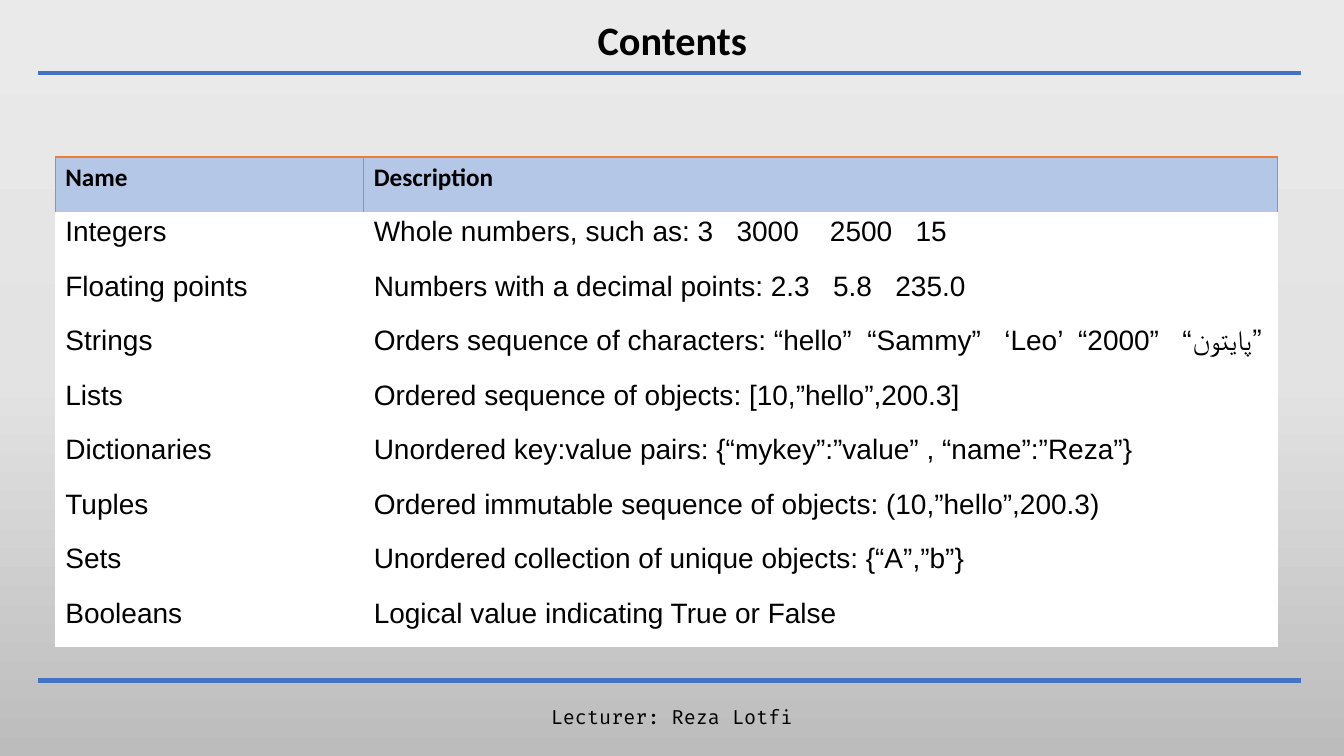
from copy import deepcopy
from lxml.etree import SubElement
from pptx import Presentation
from pptx.dml.color import RGBColor
from pptx.enum.shapes import MSO_CONNECTOR
from pptx.enum.text import MSO_ANCHOR, MSO_AUTO_SIZE, PP_ALIGN
from pptx.oxml import parse_xml
from pptx.oxml.ns import nsdecls, qn
from pptx.util import Pt

TITLE = "Contents"
LECTURER = "Lecturer: Reza Lotfi"
ROWS = [
    ("Name", "Description"),
    ("Integers", "Whole numbers, such as: 3   3000    2500   15"),
    ("Floating points", "Numbers with a decimal points: 2.3   5.8   235.0"),
    ("Strings", "Orders sequence of characters: “hello”  “Sammy”   ‘Leo’  “2000”   “پایتون”"),
    ("Lists", "Ordered sequence of objects: [10,”hello”,200.3]"),
    ("Dictionaries", "Unordered key:value pairs: {“mykey”:”value” , “name”:”Reza”}"),
    ("Tuples", "Ordered immutable sequence of objects: (10,”hello”,200.3)"),
    ("Sets", "Unordered collection of unique objects: {“A”,”b”}"),
    ("Booleans", "Logical value indicating True or False"),
]

THEME = {
    "backdrop": [(0, "EBEAEA"), (50, "E4E3E3"), (100, "BDBCBC")],
    "rule": "4472C4",
    "border": "ED7D31",
    "header_fill": "B4C7E7",
    "body_fill": "FFFFFF",
    "text": "000000",
    "title": {"name": "Calibri", "size": Pt(28.8), "bold": True},
    "header": {"name": "Calibri", "size": Pt(18), "bold": True},
    "body": {"name": "Arial", "size": Pt(20), "bold": False},
    "footer": {"name": "Fira Code", "size": Pt(14), "bold": False},
}
NO_STYLE = "{2D5ABB26-0587-4C30-8999-92F81FD0307C}"
RULE_X = (27.5, 929.5)
RULE_YS = (52, 486)
COL_WIDTHS = (220.3, 653)
ROW_HEIGHT = 38.9


def write(tf, text, style, **layout):
    for key, value in layout.items():
        setattr(tf, key, value)
    p = tf.paragraphs[0]
    r = p.add_run()
    r.text = text
    for key, value in THEME[style].items():
        setattr(r.font, key, value)
    r.font.color.rgb = RGBColor.from_string(THEME["text"])
    return p


def paint_background(s):
    fill = s.background.fill
    fill.gradient()
    fill.gradient_angle = 270
    stops = fill._fill._gradFill.find(qn("a:gsLst"))
    stops.append(deepcopy(stops[0]))
    for stop, element, (pos, color) in zip(fill.gradient_stops, stops, THEME["backdrop"]):
        stop.color.rgb = RGBColor.from_string(color)
        element.set("pos", str(pos * 1000))


def add_rule(s, y):
    x1, x2 = RULE_X
    rule = s.shapes.add_connector(MSO_CONNECTOR.STRAIGHT, Pt(x1), Pt(y), Pt(x2), Pt(y))
    rule.line.width = Pt(3)
    rule.line.color.rgb = RGBColor.from_string(THEME["rule"])
    SubElement(rule._element.spPr, qn("a:effectLst"))


def add_borders(cell):
    tcPr = cell._tc.get_or_add_tcPr()
    for i, side in enumerate("LRT"):
        tcPr.insert(i, parse_xml(
            f'<a:ln{side} {nsdecls("a")} w="{Pt(1)}"><a:solidFill>'
            f'<a:srgbClr val="{THEME["border"]}"/></a:solidFill></a:ln{side}>'))


def add_types_table(s):
    frame = s.shapes.add_table(len(ROWS), len(COL_WIDTHS), Pt(39.5), Pt(112.2),
                               Pt(sum(COL_WIDTHS)), Pt(ROW_HEIGHT * len(ROWS)))
    table = frame.table
    table.first_row = table.horz_banding = False
    table._tbl.tblPr.find(qn("a:tableStyleId")).text = NO_STYLE
    for col, width in zip(table.columns, COL_WIDTHS):
        col.width = Pt(width)
    for i, texts in enumerate(ROWS):
        table.rows[i].height = Pt(ROW_HEIGHT)
        style = "body" if i else "header"
        for j, text in enumerate(texts):
            cell = table.cell(i, j)
            cell.fill.solid()
            cell.fill.fore_color.rgb = RGBColor.from_string(THEME[style + "_fill"])
            write(cell.text_frame, text, style)
            if style == "header":
                add_borders(cell)


def place(shape, left, top, width, height):
    shape.left, shape.top, shape.width, shape.height = map(Pt, (left, top, width, height))


def main():
    prs = Presentation()
    prs.slide_width, prs.slide_height = Pt(960), Pt(540)
    s = prs.slides.add_slide(prs.slide_layouts[5])
    paint_background(s)
    for y in RULE_YS:
        add_rule(s, y)

    title = s.shapes.title
    place(title, 339.8, 8.6, 280.8, 41)
    p = write(title.text_frame, TITLE, "title", word_wrap=True,
              auto_size=MSO_AUTO_SIZE.NONE, vertical_anchor=MSO_ANCHOR.BOTTOM)
    p.alignment, p.line_spacing = PP_ALIGN.CENTER, 0.9

    footer = s.shapes.add_textbox(Pt(167), Pt(494.6), Pt(625.7), Pt(34.6))
    p = write(footer.text_frame, LECTURER, "footer", word_wrap=True,
              vertical_anchor=MSO_ANCHOR.MIDDLE)
    p.alignment = PP_ALIGN.CENTER

    add_types_table(s)
    prs.save("out.pptx")


if __name__ == "__main__":
    main()
